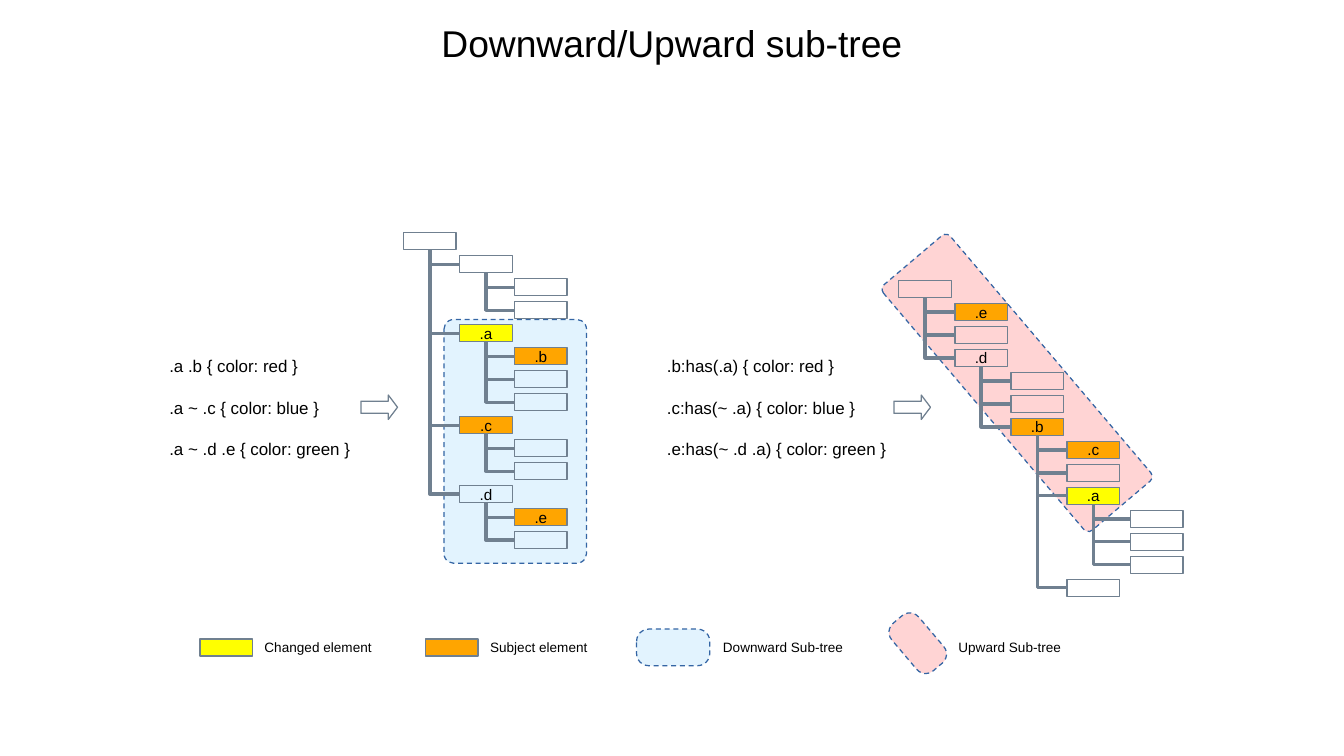
from lxml import etree
from pptx import Presentation
from pptx.dml.color import RGBColor
from pptx.enum.dml import MSO_LINE
from pptx.enum.shapes import MSO_CONNECTOR, MSO_SHAPE
from pptx.enum.text import MSO_ANCHOR, MSO_AUTO_SIZE, PP_ALIGN
from pptx.oxml.ns import qn
from pptx.util import Inches, Pt

TITLE = "Downward/Upward sub-tree"
BLACK, WHITE, GRAY, BLUE = "000000", "FFFFFF", "708090", "3465A4"
FILLS = {"changed": "FFFF00", "subject": "FFA500", "outside": WHITE, "inside": None,
         "downward": "E2F3FE", "upward": "FFD4D4"}

# Each node: depth, label, role; one row per node.
DOWNWARD_TREE = [
    (0, "", "outside"), (1, "", "outside"), (2, "", "outside"), (2, "", "outside"),
    (1, ".a", "changed"), (2, ".b", "subject"), (2, "", "inside"), (2, "", "inside"),
    (1, ".c", "subject"), (2, "", "inside"), (2, "", "inside"),
    (1, ".d", "inside"), (2, ".e", "subject"), (2, "", "inside"),
]
UPWARD_TREE = [
    (0, "", "inside"), (1, ".e", "subject"), (1, "", "inside"), (1, ".d", "inside"),
    (2, "", "inside"), (2, "", "inside"), (2, ".b", "subject"),
    (3, ".c", "subject"), (3, "", "inside"), (3, ".a", "changed"),
    (4, "", "outside"), (4, "", "outside"), (4, "", "outside"), (3, "", "outside"),
]
# Each example: nodes, column lefts, tree top, rules, rules left, arrow left.
EXAMPLES = [
    (DOWNWARD_TREE, [3.31, 3.77, 4.22], 1.91,
     [".a .b { color: red }", ".a ~ .c { color: blue }", ".a ~ .d .e { color: green }"],
     1.29, 2.96),
    (UPWARD_TREE, [7.37, 7.83, 8.29, 8.75, 9.27], 2.3,
     [".b:has(.a) { color: red }", ".c:has(~ .a) { color: blue }",
      ".e:has(~ .d .a) { color: green }"],
     5.37, 7.33),
]
# Each region: role, box, corner, rotation.
REGIONS = [
    ("upward", (7.98, 1.82, 0.72, 2.64), 0.07, 319.7),
    ("downward", (3.64, 2.62, 1.17, 2), 0.07, 0),
    ("downward", (5.22, 5.16, 0.6, 0.3), 0.333, 0),
    ("upward", (7.38, 5.02, 0.29, 0.51), 0.333, 319.7),
]
SWATCHES = [("changed", 1.64), ("subject", 3.49)]
LEGEND_LABELS = [("Changed element", 2.07), ("Subject element", 3.92),
                 ("Downward Sub-tree", 5.83), ("Upward Sub-tree", 7.76)]

NODE_WIDTH, NODE_HEIGHT = 0.43, 0.14
ROW_STEP = 2.45 / 13
RULES_MIDDLE, LEGEND_MIDDLE = 3.34, 5.31


def color(hex_string):
    return RGBColor.from_string(hex_string)


def write(shape, *lines, size=9, align=PP_ALIGN.LEFT, gap=0, wrap=True):
    frame = shape.text_frame
    frame.word_wrap = wrap
    frame.auto_size = MSO_AUTO_SIZE.NONE
    frame.vertical_anchor = MSO_ANCHOR.MIDDLE
    for index, line in enumerate(lines):
        paragraph = frame.add_paragraph() if index else frame.paragraphs[0]
        paragraph.alignment = align
        paragraph.space_before = Pt(gap if index else 0)
        run = paragraph.add_run()
        run.text = line
        run.font.size = Pt(size)
        run.font.name = "Arial"
        run.font.color.rgb = color(BLACK)


def add_text(slide, box, *lines, **text_format):
    write(slide.shapes.add_textbox(*map(Inches, box)), *lines, **text_format)


def add_box(slide, kind, box, fill, line=GRAY):
    shape = slide.shapes.add_shape(kind, *map(Inches, box))
    shape.shadow.inherit = False
    if fill:
        shape.fill.solid()
        shape.fill.fore_color.rgb = color(fill)
    else:
        shape.fill.background()
    shape.line.color.rgb = color(line)
    shape.line.width = Pt(0)
    return shape


def add_region(slide, role, box, corner, rotation):
    region = add_box(slide, MSO_SHAPE.ROUNDED_RECTANGLE, box, FILLS[role], BLUE)
    region.adjustments[0] = corner
    region.rotation = rotation
    region.line.dash_style = MSO_LINE.DASH


def add_node(slide, left, top, role, label=""):
    node = add_box(slide, MSO_SHAPE.RECTANGLE, (left, top, NODE_WIDTH, NODE_HEIGHT), FILLS[role])
    if label:
        write(node, label, align=PP_ALIGN.CENTER, wrap=False)
    return node


def add_branch(slide, parent, child):
    """Join the parent's bottom to the child's left side with a single bend."""
    start_x, start_y = parent.left + parent.width // 2, parent.top + parent.height
    end_x, end_y = child.left, child.top + child.height // 2
    branch = slide.shapes.add_connector(MSO_CONNECTOR.ELBOW, start_x, start_y, end_x, end_y)
    branch.begin_connect(parent, 2)
    branch.end_connect(child, 1)
    # The bend runs down then right once its frame is turned and mirrored.
    branch.width, branch.height = end_y - start_y, end_x - start_x
    branch.left = (start_x + end_x - branch.width) // 2
    branch.top = (start_y + end_y - branch.height) // 2
    properties = branch._element.spPr
    transform = properties.find(qn("a:xfrm"))
    transform.set("rot", "16200000")
    transform.set("flipH", "1")
    properties.find(qn("a:prstGeom")).set("prst", "bentConnector2")
    branch.line.color.rgb = color(GRAY)
    branch.line.width = Pt(0)
    etree.SubElement(properties, qn("a:effectLst"))


def add_tree(slide, nodes, columns, top):
    ancestors = {}
    for row, (depth, label, role) in enumerate(nodes):
        node = add_node(slide, columns[depth], top + row * ROW_STEP, role, label)
        ancestors[depth] = node
        if depth:
            add_branch(slide, ancestors[depth - 1], node)


def main():
    presentation = Presentation()
    presentation.slide_width, presentation.slide_height = Inches(11.02), Inches(6.2)
    slide = presentation.slides.add_slide(presentation.slide_layouts[5])

    title = slide.shapes.title
    title.left, title.top, title.width, title.height = map(Inches, (0, 0.1, 11.02, 0.5))
    write(title, TITLE, size=22, align=PP_ALIGN.CENTER)

    for region in REGIONS:
        add_region(slide, *region)
    for nodes, columns, top, rules, rules_left, arrow_left in EXAMPLES:
        add_tree(slide, nodes, columns, top)
        add_text(slide, (rules_left, RULES_MIDDLE - 0.45, 2, 0.9), *rules, size=10, gap=12.5)
        arrow = add_box(slide, MSO_SHAPE.RIGHT_ARROW,
                        (arrow_left, RULES_MIDDLE - 0.1, 0.3, 0.2), WHITE)
        arrow.adjustments[0], arrow.adjustments[1] = 0.5, 0.376

    for role, left in SWATCHES:
        add_node(slide, left, LEGEND_MIDDLE - NODE_HEIGHT / 2, role)
    for label, left in LEGEND_LABELS:
        add_text(slide, (left, LEGEND_MIDDLE - 0.11, 1.33, 0.22), label, size=8)

    presentation.save("out.pptx")


if __name__ == "__main__":
    main()
